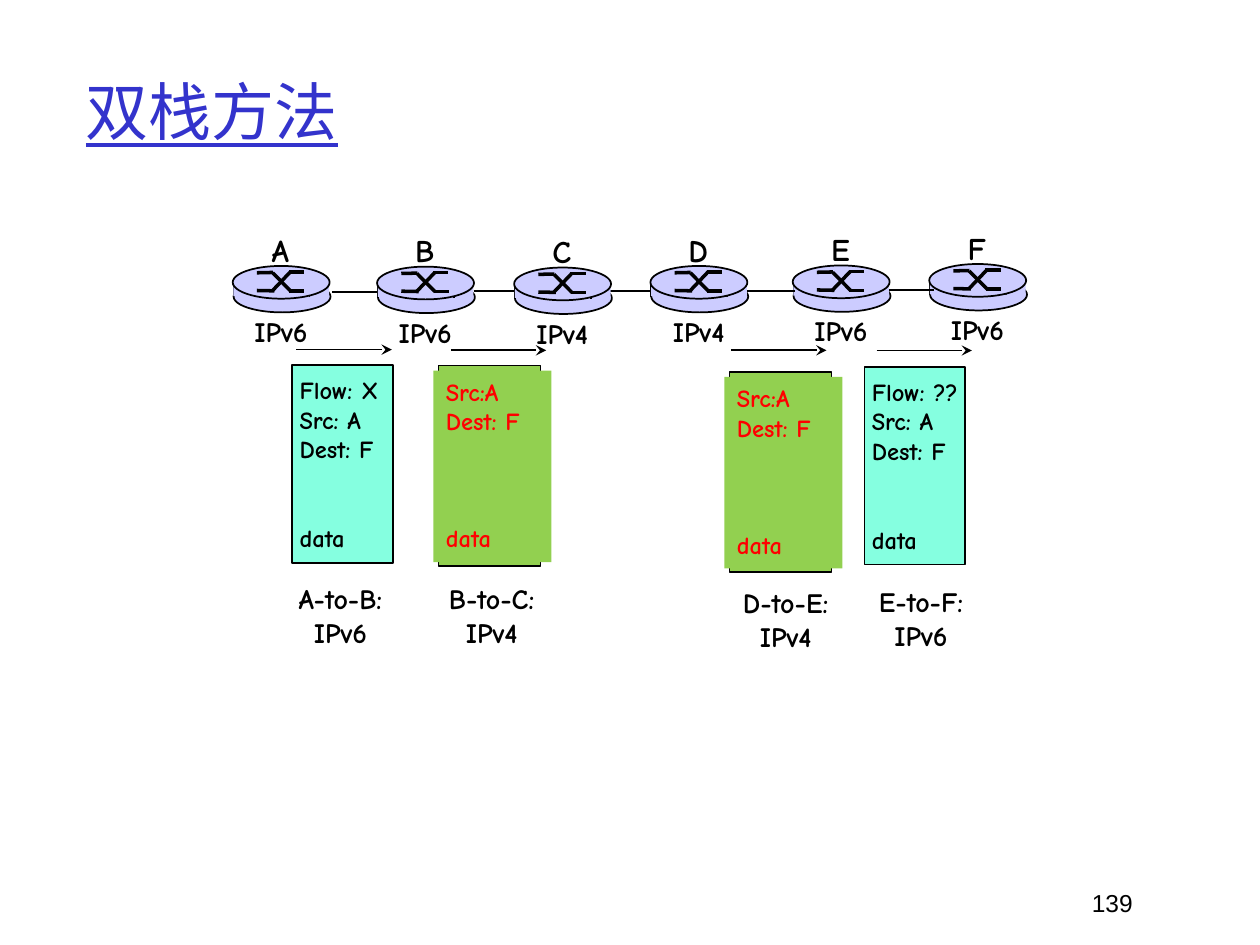
import pptx
import pptx.util
import pptx.dml.color
import pptx.enum.shapes
import pptx.enum.text
import pptx.oxml.ns
import lxml.etree

Pt = pptx.util.Pt
SHAPE = pptx.enum.shapes.MSO_SHAPE
ALIGN = pptx.enum.text.PP_ALIGN
ANCHOR = pptx.enum.text.MSO_ANCHOR

THEME = dict(
    black="000000", title="3333CC", router="CCCCFF", ipv6="85FFE0",
    ipv4="92D050", alert="FF0000", hand="Comic Neue", serif="Times New Roman",
    sans="Arial", title_size=36, name_size=18, label_size=16, body_size=14,
)

END_ROUTERS = [("A", "IPv6", 133, 152), ("B", "IPv6", 215.5, 152.4),
               ("E", "IPv6", 453, 151.7), ("F", "IPv6", 531, 150.9)]
MIDDLE_ROUTERS = [("C", "IPv4", 293.8, 152.9), ("D", "IPv4", 371.7, 152)]
LINKS = [(190, 215.3, 167), (508.3, 533.5, 165.6), (270.7, 454.3, 166.3)]
FLOWS = [(169.2, 223.9, 199.8), (257.6, 312.1, 200.2),
         (417.6, 472.3, 200.2), (501, 555.4, 200.3)]

CROSS = [((13.8, 3.9), (23, 3.7)), ((32.4, 14.2), (41, 14.2)),
         ((22.8, 3.9), (33, 14.2)), ((13.8, 14), (23.8, 14.2)),
         ((32.1, 3.4), (40.8, 3.4)), ((22.8, 14), (33, 3.3))]

PACKETS_V6 = [("Flow: X", 167, 208.7), ("Flow: ??", 494, 209.7)]
PACKETS_V4 = [(250.6, 208.8), (416.9, 212.4)]
PACKET_LINES = ["Src: A", "Dest: F", "data"]
HOPS = [("A-to-B:", "IPv6", 194.6, 329), ("B-to-C:", "IPv4", 281, 329),
        ("D-to-E:", "IPv4", 449, 331), ("E-to-F:", "IPv6", 526.3, 330.5)]


def rgb(key):
    return pptx.dml.color.RGBColor.from_string(THEME[key])


def add_text(shapes, text, x, y, w, h, size="body_size", font="hand", color="black",
             bold=True, underline=False, align=ALIGN.LEFT, anchor=ANCHOR.TOP,
             last_gap=0, box=None):
    s = box or shapes.add_textbox(Pt(x), Pt(y), Pt(w), Pt(h))
    tf = s.text_frame
    tf.word_wrap = True
    tf.vertical_anchor = anchor
    for i, line in enumerate(text.split("\n")):
        p = tf.paragraphs[0] if i == 0 else tf.add_paragraph()
        p.alignment = align
        r = p.add_run()
        r.text = line
        r.font.size = Pt(THEME[size])
        r.font.name = THEME[font]
        r.font.color.rgb = rgb(color)
        r.font.bold = bold
        r.font.underline = underline
    if last_gap:
        p.space_before = Pt(last_gap)
    return s


def add_block(shapes, kind, x, y, w, h, fill, outlined=True):
    s = shapes.add_shape(kind, Pt(x), Pt(y), Pt(w), Pt(h))
    s.shadow.inherit = False
    s.fill.solid()
    s.fill.fore_color.rgb = rgb(fill)
    if outlined:
        s.line.color.rgb = rgb("black")
        s.line.width = Pt(1)
    else:
        s.line.fill.background()
    return s


def add_line(shapes, x1, y1, x2, y2, width=1, arrow=False):
    s = shapes.add_connector(pptx.enum.shapes.MSO_CONNECTOR.STRAIGHT,
                             Pt(x1), Pt(y1), Pt(x2), Pt(y2))
    s.line.color.rgb = rgb("black")
    s.line.width = Pt(width)
    qn = pptx.oxml.ns.qn
    if arrow:
        lxml.etree.SubElement(s.line._get_or_add_ln(), qn("a:tailEnd"), type="stealth")
    lxml.etree.SubElement(s._element.spPr, qn("a:effectLst"))


def add_router(shapes, name, protocol, x, y):
    g = shapes.add_group_shape().shapes
    add_block(g, SHAPE.OVAL, x + 0.5, y + 8.5, 55.4, 18, "router")
    for dx in (0.4, 43.8):
        add_line(g, x + dx, y + 8, x + dx, y + 17.7)
    add_block(g, SHAPE.RECTANGLE, x + 0.4, y + 7.9, 54.7, 9.4, "router", outlined=False)
    add_block(g, SHAPE.OVAL, x, y, 55.4, 18.7, "router")
    for (x1, y1), (x2, y2) in CROSS:
        add_line(g, x + x1, y + y1, x + x2, y + y2, width=2)
    add_text(g, name, x + 13.5, y - 23.8, 27.4, 28.8, size="name_size", align=ALIGN.CENTER)
    add_text(shapes, protocol, x + 3, y + 24.2, 49, 26.6, size="label_size", align=ALIGN.CENTER)


def main():
    prs = pptx.Presentation()
    prs.slide_width, prs.slide_height = Pt(720), Pt(540)
    shapes = prs.slides.add_slide(prs.slide_layouts[6]).shapes

    add_text(shapes, "139", 426.2, 504, 228.2, 36, font="sans", bold=False, align=ALIGN.RIGHT)
    add_text(shapes, "双栈方法", 42, 18, 612, 90, size="title_size", font="serif",
             color="title", bold=False, underline=True, anchor=ANCHOR.MIDDLE)

    for router in END_ROUTERS:
        add_router(shapes, *router)
    for x1, x2, y in LINKS:
        add_line(shapes, x1, y, x2, y)
    for router in MIDDLE_ROUTERS:
        add_router(shapes, *router)
    for x1, x2, y in FLOWS:
        add_line(shapes, x1, y, x2, y, arrow=True)

    for flow, x, y in PACKETS_V6:
        g = shapes.add_group_shape().shapes
        add_block(g, SHAPE.RECTANGLE, x, y, 57.6, 113, "ipv6")
        add_text(g, "\n".join([flow] + PACKET_LINES), x - 2.9, y + 2.2, 72, 108, last_gap=34)
    for x, y in PACKETS_V4:
        g = shapes.add_group_shape().shapes
        add_block(g, SHAPE.RECTANGLE, x, y, 58.3, 114.5, "ipv4")
        panel = add_block(g, SHAPE.RECTANGLE, x - 2.9, y + 3, 67.4, 109.4, "ipv4", outlined=False)
        add_text(g, "\n".join(["Src:A"] + PACKET_LINES[1:]), 0, 0, 0, 0,
                 color="alert", last_gap=50, box=panel)

    for hop, protocol, center, y in HOPS:
        add_text(shapes, f"{hop}\n{protocol}", center - 39, y, 78, 46,
                 size="label_size", align=ALIGN.CENTER)

    prs.save("out.pptx")


if __name__ == "__main__":
    main()
